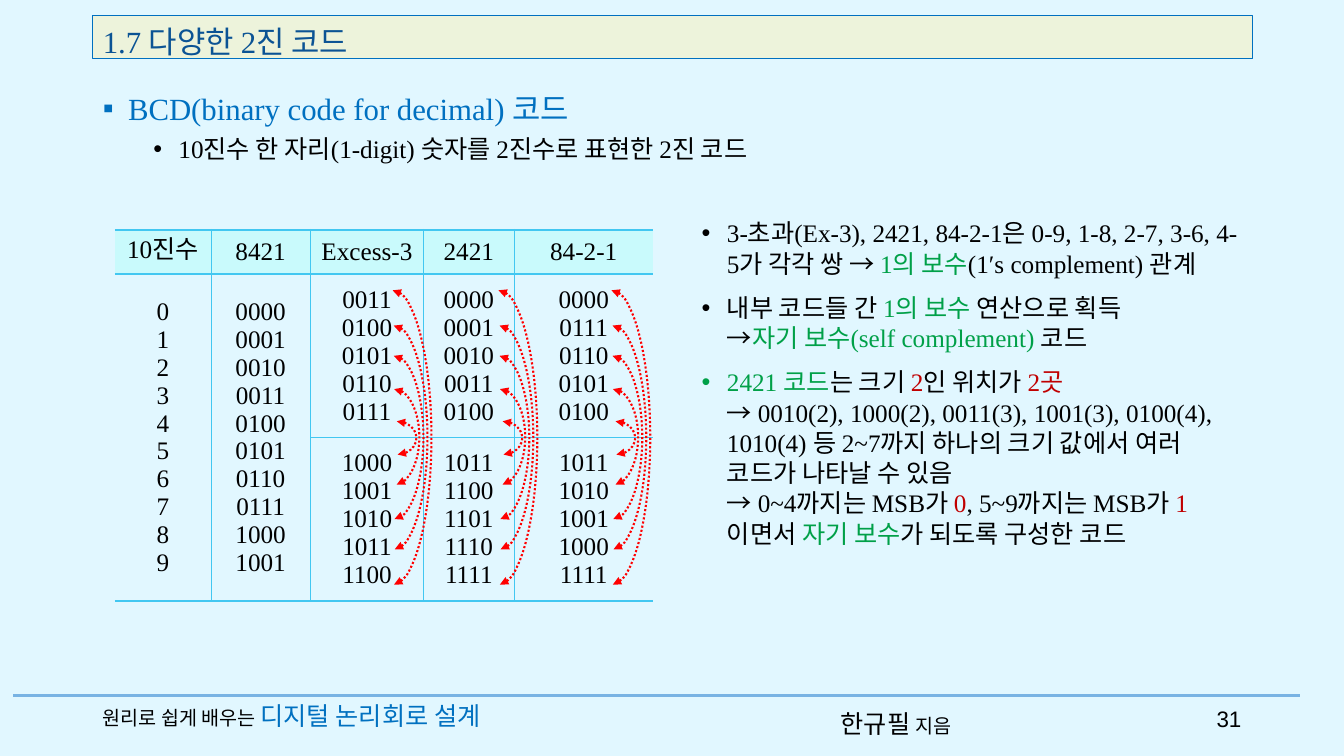
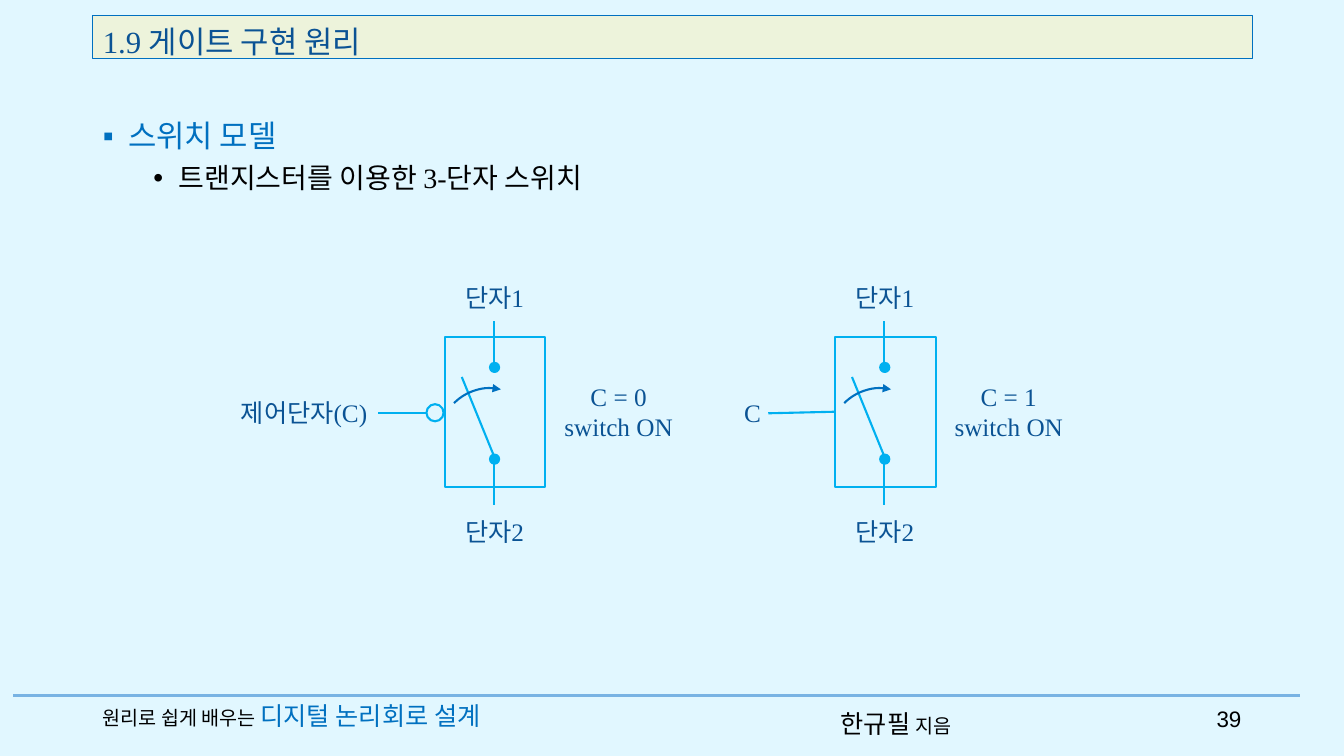
import pptx
import pptx.dml.color
import pptx.enum.dml
import pptx.enum.shapes
import pptx.enum.text
import pptx.oxml.ns
import pptx.shapes.autoshape
import pptx.shapes.connector
import pptx.util
from lxml import etree

px = 9144  # 100 px to the inch
qn = pptx.oxml.ns.qn
Shape = pptx.enum.shapes.MSO_SHAPE
Align = pptx.enum.text.PP_ALIGN
straight = pptx.enum.shapes.MSO_CONNECTOR.STRAIGHT

SERIF, KOREAN = "Times New Roman", "Noto Sans CJK KR"
BLACK, BLUE, NAVY, CYAN = "000000", "0070C0", "0B5394", "00B0F0"
GREEN, DARK_RED, RED = "00A048", "C00000", "FF0000"
GRID, HEADER = "42C7F1", "C9FAFC"


def rgb(code):
    return pptx.dml.color.RGBColor.from_string(code)


def write(frame, paragraphs, size=18, color=BLACK, font=SERIF,
          align=Align.LEFT, pitch=1.2, bullets=()):
    """Each paragraph is a list of runs (text, colour, size); the last two are optional."""
    for i, runs in enumerate(paragraphs):
        paragraph = frame.paragraphs[0] if i == 0 else frame.add_paragraph()
        paragraph.alignment = align
        runs = [run + (color, size)[len(run) - 1:] for run in runs]
        paragraph.line_spacing = pptx.util.Pt(pitch * max(run[2] for run in runs))
        for text, hue, points in runs:
            for n, line in enumerate(text.split("\n")):
                if n:
                    paragraph.add_line_break()
                if not line:
                    continue
                run = paragraph.add_run()
                run.text = line
                run.font.size = pptx.util.Pt(points)
                run.font.color.rgb = rgb(hue)
                run.font.name = font
                etree.SubElement(run.font._element, qn("a:ea"), typeface=KOREAN)
        if bullets:
            mark, level, left, before = bullets[i]
            paragraph.level = level
            paragraph.space_before = pptx.util.Pt(before)
            properties = paragraph._p.get_or_add_pPr()
            properties.set("marL", str(left * px))
            properties.set("indent", str(-25 * px))
            etree.SubElement(properties, qn("a:buChar"), char=mark)


prs = pptx.Presentation()
prs.slide_width, prs.slide_height = 1333 * px, 750 * px
prs.slide_master.background.fill.solid()
prs.slide_master.background.fill.fore_color.rgb = rgb("E1F7FF")

# Title, lead list and footer of every slide
pages = [
    (3, "31", "1.7 다양한 2진 코드", 84, [
        [("BCD(binary code for decimal) 코드", BLUE, 22)],
        [("10진수 한 자리(1-digit) 숫자를 2진수로 표현한 2진 코드", BLACK, 18)]]),
    (1, "39", "1.9 게이트 구현 원리", 111, [
        [("스위치 모델", BLUE, 22)],
        [("트랜지스터를 이용한 3-단자 스위치", BLACK, 20)]]),
]
for layout, number, heading, lead_top, lead in pages:
    slide = prs.slides.add_slide(prs.slide_layouts[layout])
    title, body = slide.shapes.title, slide.placeholders[1]
    title.left, title.top, title.width, title.height = 92 * px, 15 * px, 1150 * px, 43 * px
    title.fill.solid()
    title.fill.fore_color.rgb = rgb("EDF3DB")
    title.line.color.rgb = rgb(BLUE)
    title.line.width = pptx.util.Pt(0.75)
    title.text_frame.auto_size = pptx.enum.text.MSO_AUTO_SIZE.NONE
    title.text_frame.vertical_anchor = pptx.enum.text.MSO_ANCHOR.MIDDLE
    title.text_frame.margin_top, title.text_frame.margin_bottom = 8 * px, 0
    write(title.text_frame, [[(heading,)]], 22, NAVY)

    body.left, body.top, body.width, body.height = 92 * px, lead_top * px, 1150 * px, 105 * px
    body.text_frame.auto_size = pptx.enum.text.MSO_AUTO_SIZE.NONE
    write(body.text_frame, lead, bullets=[("▪", 0, 25, 10), ("•", 1, 75, 5)])

    rule = slide.shapes.add_connector(straight, 13 * px, 690 * px, 1289 * px, 690 * px)
    rule.line.color.rgb = rgb("78B3E3")
    rule.line.width = pptx.util.Pt(2.5)
    for left, top, width, runs, font, align in [
        (92, 690, 463, [("원리로 쉽게 배우는 ", BLACK, 14), ("디지털 논리회로 설계", BLUE)],
         SERIF, Align.LEFT),
        (824, 698, 153, [("한규필 ",), ("지음", BLACK, 14)], KOREAN, Align.LEFT),
        (1179, 695, 62, [(number, BLACK, 16)], "Arial", Align.RIGHT),
    ]:
        footer = slide.shapes.add_textbox(left * px, top * px, width * px, 40 * px)
        footer.text_frame.word_wrap = True
        write(footer.text_frame, [runs], font=font, align=align)

codes_slide, switch_slide = prs.slides

# Code table: decimal digits and four binary codes
digits = range(10)
codes = {
    "10진수": [str(n) for n in digits],
    "8421": [f"{n:04b}" for n in digits],
    "Excess-3": [f"{n + 3:04b}" for n in digits],
    "2421": [f"{n:04b}" for n in (0, 1, 2, 3, 4, 11, 12, 13, 14, 15)],
    "84-2-1": [f"{n:04b}" for n in (0, 7, 6, 5, 4, 11, 10, 9, 8, 15)],
}
table = codes_slide.shapes.add_table(3, 5, 114 * px, 228 * px, 534 * px, 368 * px).table
table.first_row = table.horz_banding = False
for row, height in zip(table.rows, (44, 162, 162)):
    row.height = height * px
for column, width in zip(table.columns, (95, 99, 112, 90, 138)):
    column.width = width * px
for c, (name, values) in enumerate(codes.items()):
    split = c > 1  # self-complementing codes are shown in two halves
    if not split:
        table.cell(1, c).merge(table.cell(2, c))
    parts = [[name], values[:5], values[5:]] if split else [[name], values, []]
    for r, lines in enumerate(parts):
        cell = table.cell(r, c)
        cell.vertical_anchor = pptx.enum.text.MSO_ANCHOR.MIDDLE
        cell.margin_left = cell.margin_right = 7 * px
        cell.margin_top = cell.margin_bottom = 2 * px
        if r == 0:
            cell.fill.solid()
            cell.fill.fore_color.rgb = rgb(HEADER)
        else:
            cell.fill.background()
        write(cell.text_frame, [[(line,)] for line in lines], align=Align.CENTER, pitch=1.11)
        middle = 0.56 if split else 0
        borders = {
            "L": 0.28 if c > 0 else 0,
            "R": 0.28 if c < 4 else 0,
            "T": middle if r == 2 else 1.7,
            "B": middle if r == 1 and split else 1.7,
        }
        for place, (side, points) in enumerate(borders.items()):
            border = etree.Element(qn(f"a:ln{side}"), w=str(int(points * 12700)))
            paint = etree.SubElement(border, qn("a:solidFill" if points else "a:noFill"))
            if points:
                etree.SubElement(paint, qn("a:srgbClr"), val=GRID)
            cell._tc.get_or_add_tcPr().insert(place, border)

# Remarks on the codes
remarks = codes_slide.placeholders[2]
remarks.left, remarks.top, remarks.width, remarks.height = 686 * px, 211 * px, 555 * px, 428 * px
remarks.text_frame.auto_size = pptx.enum.text.MSO_AUTO_SIZE.NONE
write(remarks.text_frame, [
    [("3-초과(Ex-3), 2421, 84-2-1은 0-9, 1-8, 2-7, 3-6, 4-5가 각각 쌍 → ",),
     ("1의 보수", GREEN), ("(1′s complement) 관계",)],
    [("내부 코드들 간 ",), ("1의 보수 ", GREEN), ("연산으로 획득\n→",),
     ("자기 보수(self complement) ", GREEN), ("코드",)],
    [("2421 코드", GREEN), ("는 크기 ",), ("2", DARK_RED), ("인 위치가 ",), ("2곳\n", DARK_RED),
     ("→ 0010(2), 1000(2), 0011(3), 1001(3), 0100(4), 1010(4) 등 2~7까지 "
      "하나의 크기 값에서 여러 코드가 나타날 수 있음\n→ 0~4까지는 MSB가 ",),
     ("0", DARK_RED), (", 5~9까지는 MSB가 ",), ("1", DARK_RED), ("이면서 ",),
     ("자기 보수", GREEN), ("가 되도록 구성한 코드",)],
], bullets=[("•", 0, 25, 10)] * 3)

# Arcs that join complementary codes
for shift in (0, 105, 217):
    for left, top, width, height, end in [
        (374, 418, 39, 33, 52.14), (366, 386, 50, 95, 52.14), (361, 353, 59, 162, 53.66),
        (357, 323, 67, 222, 53.66), (351, 288, 77, 292, 53.66),
    ]:
        pair = codes_slide.shapes.add_shape(
            Shape.ARC, (left + shift) * px, top * px, width * px, height * px)
        pair.adjustments[0], pair.adjustments[1] = 162, end
        pair.fill.background()
        pair.line.color.rgb = rgb(RED)
        pair.line.width = pptx.util.Pt(1.5)
        pair.line.dash_style = pptx.enum.dml.MSO_LINE.ROUND_DOT
        outline = pair.element.spPr.find(qn("a:ln"))
        for tip in ("a:headEnd", "a:tailEnd"):
            etree.SubElement(outline, qn(tip), type="triangle")

# Two switches: active low with a bubble, active high without
for left, state, control, control_left, control_width, wire_start, bubble in [
    (441, "C = 0", "제어단자(C)", 224, 155, 375, True),
    (828, "C = 1", "C", 728, 37, 762, False),
]:
    shapes = switch_slide.shapes
    housing = shapes.add_shape(Shape.RECTANGLE, left * px, 334 * px, 100 * px, 149 * px)
    outlines = [housing]
    for contact_top in (360, 451):
        contact = shapes.add_shape(Shape.OVAL, (left + 45) * px, contact_top * px, 9 * px, 9 * px)
        contact.fill.solid()
        contact.fill.fore_color.rgb = rgb(CYAN)
        contact.line.color.rgb = rgb(CYAN)
        contact.line.width = pptx.util.Pt(1.5)
    if bubble:
        outlines.append(shapes.add_shape(Shape.OVAL, (left - 18) * px, 401 * px, 17 * px, 17 * px))
    for outlined in outlines:
        outlined.fill.background()
        outlined.line.color.rgb = rgb(CYAN)
        outlined.line.width = pptx.util.Pt(1.5)

    for x1, y1, x2, y2 in [
        (left + 49, 359, left + 49, 318),
        (left + 49, 501, left + 49, 460),
        (left + 50, 455, left + 17, 374),
        (wire_start, 410, left - 18 if bubble else left, 410),
    ]:
        wire = shapes.add_connector(straight, x1 * px, y1 * px, x2 * px, y2 * px)
        wire.line.color.rgb = rgb(CYAN)
        wire.line.width = pptx.util.Pt(1.5)
    if not bubble:
        wire.end_connect(housing, 1)  # the control wire is drawn last

    motion = shapes.add_shape(Shape.ARC, (left - 5) * px, 385 * px, 100 * px, 100 * px)
    motion.rotation = 314.6
    motion.adjustments[0], motion.adjustments[1] = 162, 196.74
    motion.fill.background()
    motion.line.color.rgb = rgb(BLUE)
    motion.line.width = pptx.util.Pt(1.5)
    etree.SubElement(motion.element.spPr.find(qn("a:ln")), qn("a:tailEnd"), type="triangle")

    for text, x, y, width, height in [
        ("단자1", left + 7, 275, 85, 40),
        ("단자2", left + 7, 507, 85, 40),
        (control, control_left, 389, control_width, 40),
        (f"{state}\nswitch ON", left + 108, 373, 129, 71),
    ]:
        label = shapes.add_textbox(x * px, y * px, width * px, height * px)
        label.text_frame.word_wrap = False
        write(label.text_frame, [[(text,)]], color=NAVY, align=Align.CENTER)

# No shadows
for slide in prs.slides:
    for shape in slide.shapes:
        if isinstance(shape, pptx.shapes.connector.Connector):
            etree.SubElement(shape.element.spPr, qn("a:effectLst"))
        elif isinstance(shape, pptx.shapes.autoshape.Shape):
            shape.shadow.inherit = False

prs.save("out.pptx")
